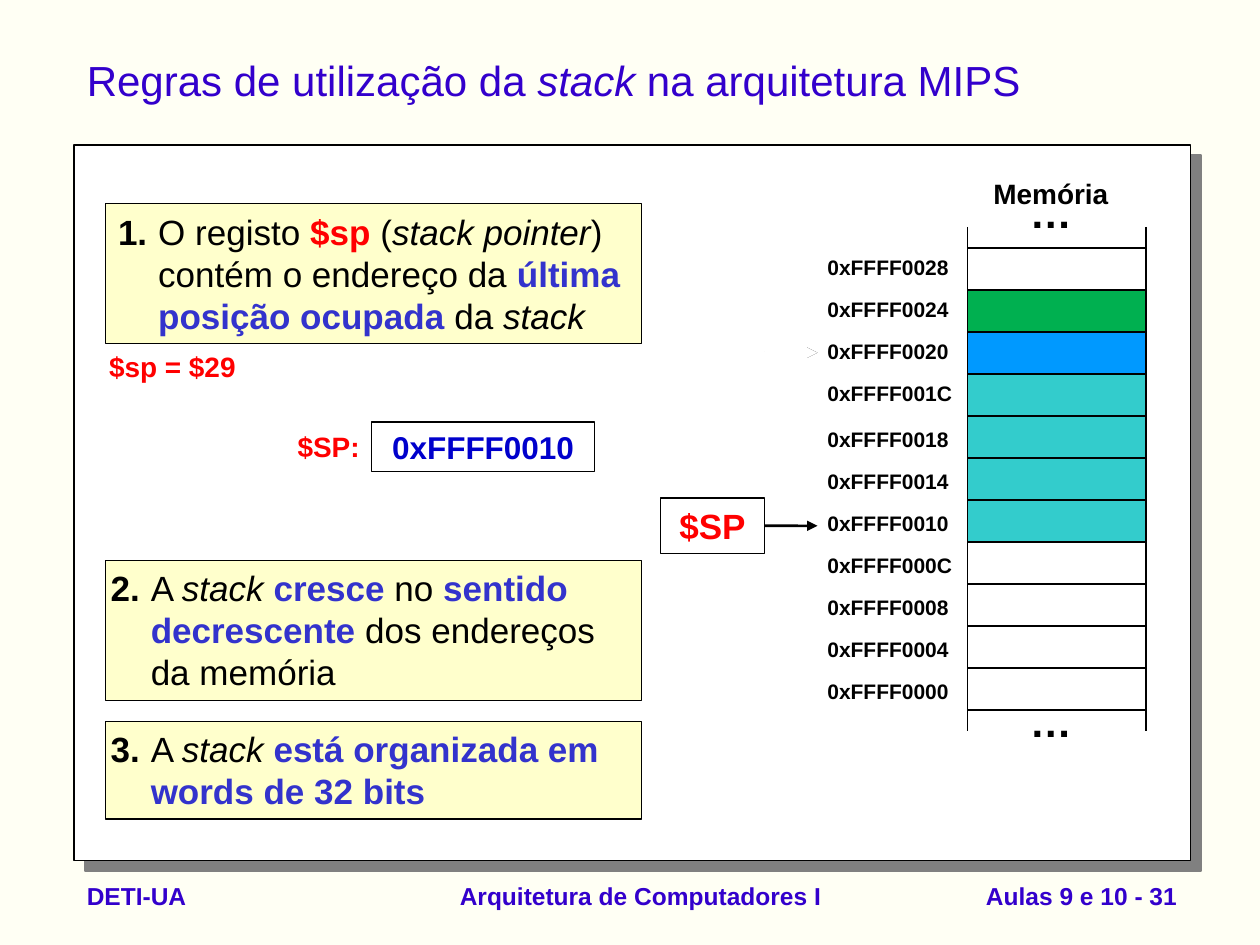
from lxml.etree import SubElement
from pptx import Presentation
from pptx.dml.color import RGBColor
from pptx.enum.shapes import MSO_CONNECTOR, MSO_SHAPE
from pptx.enum.text import MSO_ANCHOR, PP_ALIGN
from pptx.oxml.ns import qn
from pptx.util import Cm, Pt

BLACK = RGBColor(0x00, 0x00, 0x00)
WHITE = RGBColor(0xFF, 0xFF, 0xFF)
IVORY = RGBColor(0xFF, 0xFF, 0xF4)
CREAM = RGBColor(0xFF, 0xFF, 0xCC)
INDIGO = RGBColor(0x33, 0x00, 0xCC)
VIOLET = RGBColor(0x33, 0x33, 0xCC)
NAVY = RGBColor(0x00, 0x00, 0xCC)
RED = RGBColor(0xFF, 0x00, 0x00)
GREEN = RGBColor(0x00, 0xB0, 0x50)
BLUE = RGBColor(0x00, 0x99, 0xFF)
TEAL = RGBColor(0x33, 0xCC, 0xCC)

LEFT, CENTER, RIGHT = PP_ALIGN.LEFT, PP_ALIGN.CENTER, PP_ALIGN.RIGHT
TOP, MIDDLE = MSO_ANCHOR.TOP, MSO_ANCHOR.MIDDLE

# Run formats
BOLD = {"bold": True}
ITALIC = {"italic": True}
KEY = {"bold": True, "color": VIOLET}
REGISTER = {"bold": True, "color": RED}

# Content
TITLE = [("Regras de utilização da ", {}), ("stack", ITALIC),
         (" na arquitetura MIPS", {})]
RULES = [  # top, height, side inset, runs
    (4.11, 2.82, 0.25, [
        ("1.", BOLD), ("\tO registo ", {}), ("$sp", REGISTER), (" (", {}),
        ("stack pointer", ITALIC), (") contém o endereço da ", {}),
        ("última posição ocupada", KEY), (" da ", {}), ("stack", ITALIC)]),
    (11.3, 2.82, 0.1, [
        ("2.\t", BOLD), ("A ", {}), ("stack ", ITALIC), ("cresce", KEY),
        (" no ", {}), ("sentido decrescente", KEY),
        (" dos endereços da memória", {})]),
    (14.55, 1.96, 0.1, [
        ("3.\t", BOLD), ("A ", {}), ("stack ", ITALIC),
        ("está organizada em words de 32 bits", KEY)]),
]
ADDRESSES = ["0xFFFF0028", "0xFFFF0024", "0xFFFF0020", "0xFFFF001C",
             "0xFFFF0018", "0xFFFF0014", "0xFFFF0010", "0xFFFF000C",
             "0xFFFF0008", "0xFFFF0004", "0xFFFF0000"]
FILLED = [(1, 1, GREEN), (2, 1, BLUE), (3, 4, TEAL)]  # first row, rows, colour
FOOTERS = [  # left, width, alignment, text
    (1.5, 6, LEFT, "DETI-UA"),
    (8.89, 8.05, CENTER, "Arquitetura de Computadores I"),
    (18.06, 5.92, RIGHT, "Aulas 9 e 10 - 31"),
]

# Memory grid
MEM_LEFT, MEM_RIGHT, MEM_TOP = 19.51, 23.1, 5
ROW = 2.54 / 3
MEM_BOTTOM = MEM_TOP + len(ADDRESSES) * ROW
LABEL_LEFT = 16.43

prs = Presentation()
prs.slide_width, prs.slide_height = Cm(25.4), Cm(19.05)
slide = prs.slides.add_slide(prs.slide_layouts[6])
slide.background.fill.solid()
slide.background.fill.fore_color.rgb = IVORY


def write(s, runs, size, color=BLACK, align=LEFT, anchor=TOP, inset=0.25):
    tf = s.text_frame
    settings = {"word_wrap": True, "vertical_anchor": anchor,
                "margin_left": Cm(inset), "margin_right": Cm(inset)}
    for name, value in settings.items():
        setattr(tf, name, value)
    p = tf.paragraphs[0]
    p.alignment = align
    for text, style in runs:
        r = p.add_run()
        r.text = text
        values = {"name": "Arial", "size": Pt(size), **style}
        r.font.color.rgb = values.pop("color", color)
        for name, value in values.items():
            setattr(r.font, name, value)
    return p


def add_text(x, y, w, h, runs, size, **options):
    s = slide.shapes.add_textbox(Cm(x), Cm(y), Cm(w), Cm(h))
    return write(s, runs, size, **options)


def add_box(x, y, w, h, fill, width=0.75):
    s = slide.shapes.add_shape(MSO_SHAPE.RECTANGLE, Cm(x), Cm(y), Cm(w), Cm(h))
    s.shadow.inherit = False
    s.fill.solid()
    s.fill.fore_color.rgb = fill
    s.line.color.rgb = BLACK
    s.line.width = Pt(width)
    return s


def add_line(x1, y1, x2, y2, color=BLACK, width=0.75, arrow=False):
    s = slide.shapes.add_connector(MSO_CONNECTOR.STRAIGHT,
                                   Cm(x1), Cm(y1), Cm(x2), Cm(y2))
    s.line.color.rgb = color
    s.line.width = Pt(width)
    if arrow:
        SubElement(s.line._get_or_add_ln(), qn("a:tailEnd"), type="triangle")
    SubElement(s._element.spPr, qn("a:effectLst"))
    return s


# Panel with its offset shadow, and title
panel = add_box(1.5, 2.92, 22.5, 14.43, WHITE, 1)
shadow = SubElement(panel._element.spPr.find(qn("a:effectLst")),
                    qn("a:outerShdw"), dist=str(Pt(8.5)), dir="2700000",
                    algn="ctr", rotWithShape="0")
SubElement(shadow, qn("a:srgbClr"), val="808080")
add_text(1.5, 0.71, 22.5, 1.78, TITLE, 24, color=INDIGO, anchor=MIDDLE)

# Rules with hanging numbers
for top, height, inset, runs in RULES:
    p = write(add_box(2.13, top, 10.8, height, CREAM), runs, 20, inset=inset)
    pPr = p._p.get_or_add_pPr()
    pPr.set("marL", str(Cm(0.81)))
    pPr.set("indent", str(-Cm(0.81)))

# Register value
add_text(1.57, 6.93, 3.81, 0.94, [("$sp = $29", REGISTER)], 16, align=CENTER)
add_text(5.49, 8.53, 2.01, 0.99, [("$SP:", REGISTER)], 16, align=RIGHT)
write(add_box(7.49, 8.51, 4.5, 0.99, WHITE), [("0xFFFF0010", BOLD)], 18,
      color=NAVY, align=CENTER)

# Stack pointer: faded earlier arrow, then the current one
for color in (BLACK, WHITE):
    add_line(15.42, 7.11, 16.48, 7.11, color, 1.5, arrow=True)
pointer = add_box(13.31, 10.04, 2.11, 1.12, WHITE)
write(pointer, [("$SP", REGISTER)], 20, align=CENTER)
add_line(15.42, 10.6, 16.48, 10.6, width=1.5,
         arrow=True).begin_connect(pointer, 3)

# Memory cells, row separators and open-ended sides
for first, rows, color in FILLED:
    add_box(MEM_LEFT, MEM_TOP + first * ROW, MEM_RIGHT - MEM_LEFT,
            rows * ROW, color)
for i in range(len(ADDRESSES) + 1):
    y = MEM_TOP + i * ROW
    add_line(MEM_LEFT, y, MEM_RIGHT, y)
for x in (MEM_LEFT, MEM_RIGHT):
    add_line(x, MEM_TOP - ROW / 2, x, MEM_BOTTOM + ROW / 2)

# Addresses; those below the first four sit slightly lower
for i, address in enumerate(ADDRESSES):
    drop = 0.08 if i > 3 else 0
    add_text(LABEL_LEFT, MEM_TOP + i * ROW + drop, 3.1, 0.76,
             [(address, BOLD)], 12)

# Memory heading and ellipses
ELLIPSIS = ("…", {"bold": True, "size": Pt(24)})
p = add_text(19.28, 3.73, 3.81, 1.09, [("Memória", BOLD)], 16, align=CENTER)
p.line_spacing = 0.5
p.add_line_break()
r = p.add_run()
r.text = ELLIPSIS[0]
for name, value in {"name": "Arial", **ELLIPSIS[1]}.items():
    setattr(r.font, name, value)
r.font.color.rgb = BLACK
add_text(19.28, 13.89, 3.81, 1.27, [ELLIPSIS], 24, align=CENTER)

# Footer
for left, width, align, text in FOOTERS:
    add_text(left, 17.4, width, 1.32, [(text, BOLD)], 14, color=INDIGO,
             align=align, anchor=MIDDLE)

prs.save("out.pptx")
